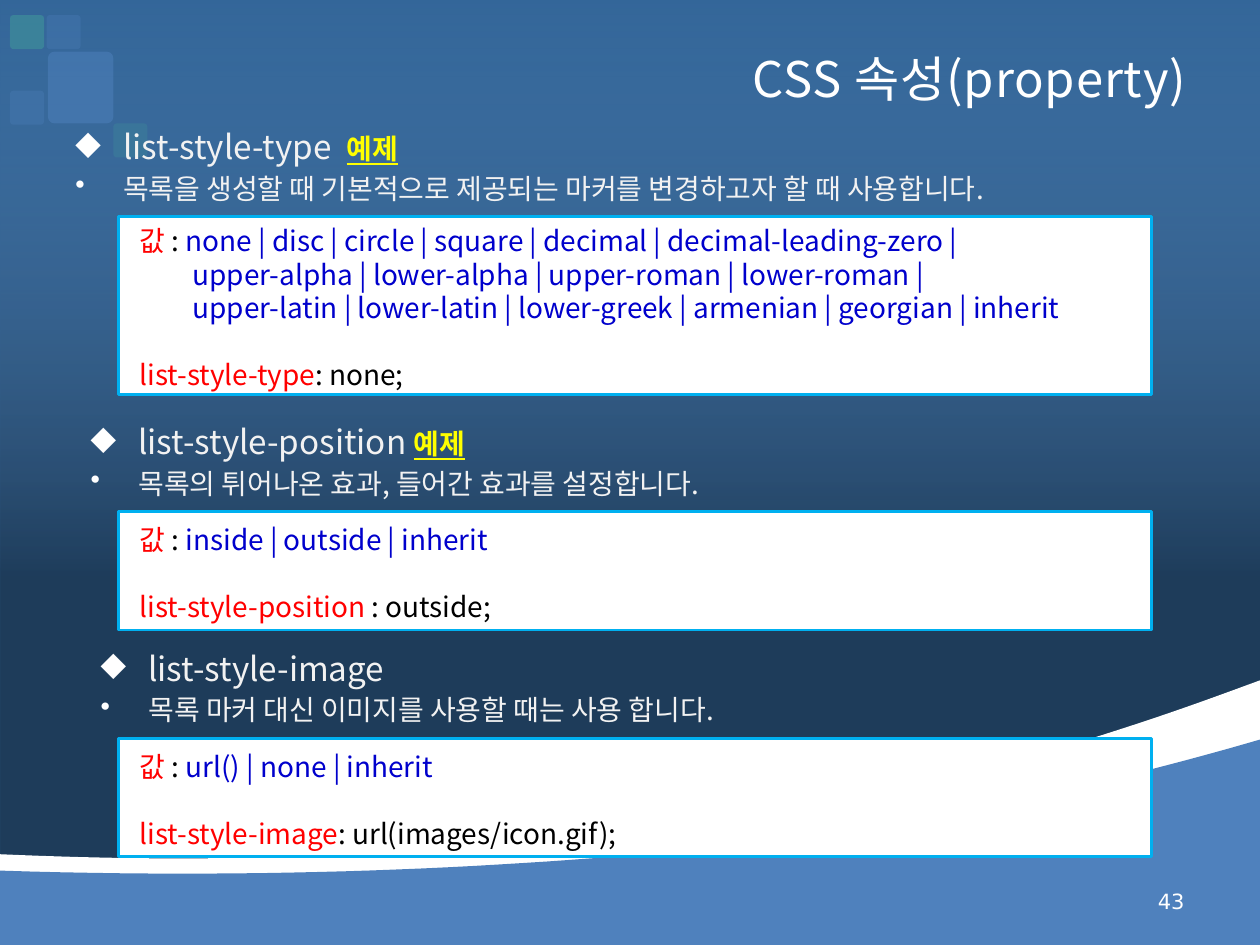
from lxml import etree
from pptx import Presentation
from pptx import util as u
from pptx.dml.color import RGBColor
from pptx.enum import shapes, text
from pptx.oxml.ns import qn

SANS = "Noto Sans CJK KR"
WHITE, PALE, YELLOW = "FFFFFF", "F2F2F2", "FFFF00"
RED, BLACK, NAVY = "FF0000", "000000", "0000CC"
WAVE_BLUE, TEAL, CYAN = "4F81BD", "3F949A", "00B0F0"
LINE_HEIGHT = 19.2


def color(value):
    return RGBColor.from_string(value)


def set_alpha(shape, *percents):
    """Apply opacities to the colours of a shape's fill, in order."""
    for node, percent in zip(shape.element.spPr.iter(qn("a:srgbClr")), percents):
        etree.SubElement(node, qn("a:alpha"), val=str(percent * 1000))


def fill_plain(shape, fill):
    shape.fill.solid()
    shape.fill.fore_color.rgb = color(fill)
    shape.line.fill.background()
    shape.shadow.inherit = False


def add_run(paragraph, words, size, fill, font=SANS, marked=False):
    run = paragraph.add_run()
    run.text = words
    run.font.size = u.Pt(size)
    run.font.name = font
    run.font.color.rgb = color(fill)
    if marked:
        run.font.bold = run.font.underline = True
    etree.SubElement(run.font._element, qn("a:ea"), typeface=font)
    return run


def add_bullet(paragraph, character):
    properties = paragraph._p.get_or_add_pPr()
    properties.set("marL", str(u.Inches(0.38)))
    properties.set("indent", str(-u.Inches(0.38)))
    bullet_color = etree.SubElement(properties, qn("a:buClr"))
    etree.SubElement(bullet_color, qn("a:srgbClr"), val=WHITE)
    etree.SubElement(properties, qn("a:buChar"), char=character)


def add_backdrop(slide, width, height):
    slide.background.fill.solid()
    slide.background.fill.fore_color.rgb = color("336699")
    shade = slide.shapes.add_shape(shapes.MSO_SHAPE.RECTANGLE, 0, 0, width, height)
    shade.shadow.inherit = False
    shade.line.fill.background()
    shade.fill.gradient()
    shade.fill.gradient_angle = 270
    stops = zip(shade.fill.gradient_stops, ("8DB3E2", BLACK), (0, 0.61))
    for stop, value, position in stops:
        stop.color.rgb = color(value)
        stop.position = position
    set_alpha(shade, 0, 40)


def curve_points(start, control_1, control_2, end, steps=30):
    """Points along a cubic Bezier curve, without its start."""
    for step in range(1, steps + 1):
        t = step / steps
        weights = ((1 - t) ** 3, 3 * t * (1 - t) ** 2, 3 * t * t * (1 - t), t ** 3)
        points = (start, control_1, control_2, end)
        yield tuple(sum(w * p[axis] for w, p in zip(weights, points)) for axis in (0, 1))


def add_wave(slide, nodes, fill):
    """Fill the area below a curve given as start, then triples of Bezier points."""
    points = [nodes[0]]
    for i in range(0, len(nodes) - 1, 3):
        points += curve_points(*nodes[i:i + 4])
    points += [(10, 7.5), (0, 7.5)]
    emu = [(u.Inches(x), u.Inches(y)) for x, y in points]
    builder = slide.shapes.build_freeform(*emu[0])
    builder.add_line_segments(emu[1:], close=True)
    fill_plain(builder.convert_to_shape(), fill)


def add_tile(slide, left, top, width, height, fill, opacity):
    tile = slide.shapes.add_shape(
        shapes.MSO_SHAPE.ROUNDED_RECTANGLE,
        *(u.Inches(v) for v in (left, top, width, height)))
    tile.adjustments[0] = 0.1
    fill_plain(tile, fill)
    set_alpha(tile, opacity)


def add_title(slide, left, top, width, height):
    title = slide.shapes.title
    title.left, title.top = u.Inches(left), u.Inches(top)
    title.width, title.height = u.Inches(width), u.Inches(height)
    title.text_frame.vertical_anchor = text.MSO_ANCHOR.MIDDLE
    paragraph = title.text_frame.paragraphs[0]
    paragraph.alignment = text.PP_ALIGN.RIGHT
    run = add_run(paragraph, "CSS 속성(property) ", 28, WHITE)
    run.font._element.set("spc", "50")
    slide.shapes.element.append(title.element)  # in front of the backdrop


def add_heading(slide, left, top, height, name, example, description):
    box = slide.shapes.add_textbox(
        u.Inches(left), u.Inches(top), u.Inches(9.11), u.Inches(height))
    frame = box.text_frame
    frame.word_wrap = True
    heading, detail = frame.paragraphs[0], frame.add_paragraph()
    heading.line_spacing = u.Pt(35.4)
    detail.line_spacing = u.Pt(19)
    detail.space_before = u.Pt(3)
    add_bullet(heading, "◆")
    add_bullet(detail, "•")
    add_run(heading, name, 19, PALE)
    if example:
        add_run(heading, example, 16, YELLOW, marked=True)
    add_run(detail, description, 16, PALE)


def add_value_box(slide, top, height, values, name, setting):
    """White box with the allowed values, then a sample declaration."""
    box = slide.shapes.add_shape(
        shapes.MSO_SHAPE.RECTANGLE,
        u.Inches(0.94), u.Inches(top), u.Inches(8.2), u.Inches(height))
    fill_plain(box, WHITE)
    box.line.color.rgb = color(CYAN)
    box.line.width = u.Pt(1.5)
    frame = box.text_frame
    frame.word_wrap = True
    frame.vertical_anchor = text.MSO_ANCHOR.MIDDLE
    frame.margin_left = u.Inches(0.17)
    frame.margin_top = u.Inches(0.08)

    first = frame.paragraphs[0]
    add_run(first, "값 ", 16, RED)
    add_run(first, ": ", 16, BLACK)
    add_run(first, values[0], 16, NAVY)
    for line in values[1:]:
        paragraph = frame.add_paragraph()
        paragraph._p.get_or_add_pPr().set("marL", str(u.Inches(0.42)))
        add_run(paragraph, line, 16, NAVY)
    sample = frame.add_paragraph()
    sample.space_before = u.Pt(LINE_HEIGHT)
    add_run(sample, name, 16, RED)
    add_run(sample, setting, 16, BLACK)
    for paragraph in frame.paragraphs:
        paragraph.alignment = text.PP_ALIGN.LEFT
        paragraph.line_spacing = u.Pt(LINE_HEIGHT)


def add_page_number(slide, left, top, width, height):
    box = slide.shapes.add_textbox(*(u.Inches(v) for v in (left, top, width, height)))
    box.text_frame.word_wrap = True
    box.text_frame.vertical_anchor = text.MSO_ANCHOR.MIDDLE
    paragraph = box.text_frame.paragraphs[0]
    paragraph.alignment = text.PP_ALIGN.RIGHT
    add_run(paragraph, "43", 12, WHITE, font="DejaVu Sans")


def main():
    presentation = Presentation()
    presentation.slide_width, presentation.slide_height = u.Inches(10), u.Inches(7.5)
    slide = presentation.slides.add_slide(presentation.slide_layouts[5])
    add_backdrop(slide, presentation.slide_width, presentation.slide_height)
    add_wave(slide, [(0, 6.78), (1.61, 6.85), (2.93, 6.82), (5.21, 6.59),
                     (7.49, 6.36), (9.48, 5.59), (10, 5.4)], WHITE)
    add_wave(slide, [(0, 6.91), (2.46, 6.99), (4.45, 6.86), (6.15, 6.68),
                     (7.84, 6.49), (9.59, 5.99), (10, 5.87)], WAVE_BLUE)
    for left, top, fill, opacity in ((0.37, 0.12, WAVE_BLUE, 30), (0.08, 0.72, WAVE_BLUE, 30),
                                     (0.08, 0.12, TEAL, 60), (0.9, 0.98, TEAL, 30)):
        add_tile(slide, left, top, 0.27, 0.27, fill, opacity)
    add_tile(slide, 0.38, 0.41, 0.52, 0.57, WAVE_BLUE, 50)
    add_title(slide, 0.5, 0.3, 9.11, 0.64)

    add_heading(slide, 0.5, 0.78, 2.5, "list-style-type  ", "예제",
                "목록을 생성할 때 기본적으로 제공되는 마커를 변경하고자 할 때 사용합니다.")
    add_heading(slide, 0.62, 3.12, 2.03, "list-style-position ", "예제",
                "목록의 튀어나온 효과, 들어간 효과를 설정합니다.")
    add_heading(slide, 0.7, 4.92, 2.03, "list-style-image", None,
                "목록 마커 대신 이미지를 사용할 때는 사용 합니다.")
    add_value_box(slide, 1.72, 1.41, [
        "none | disc | circle | square | decimal | decimal-leading-zero |",
        "upper-alpha | lower-alpha | upper-roman | lower-roman |",
        "upper-latin | lower-latin | lower-greek | armenian | georgian | inherit",
    ], "list-style-type", ": none;")
    add_value_box(slide, 4.06, 0.94, ["inside | outside | inherit"],
                  "list-style-position ", ": outside;")
    add_value_box(slide, 5.86, 0.94, ["url() | none | inherit"],
                  "list-style-image", ": url(images/icon.gif);")
    add_page_number(slide, 7.17, 6.95, 2.33, 0.4)
    presentation.save("out.pptx")


if __name__ == "__main__":
    main()
